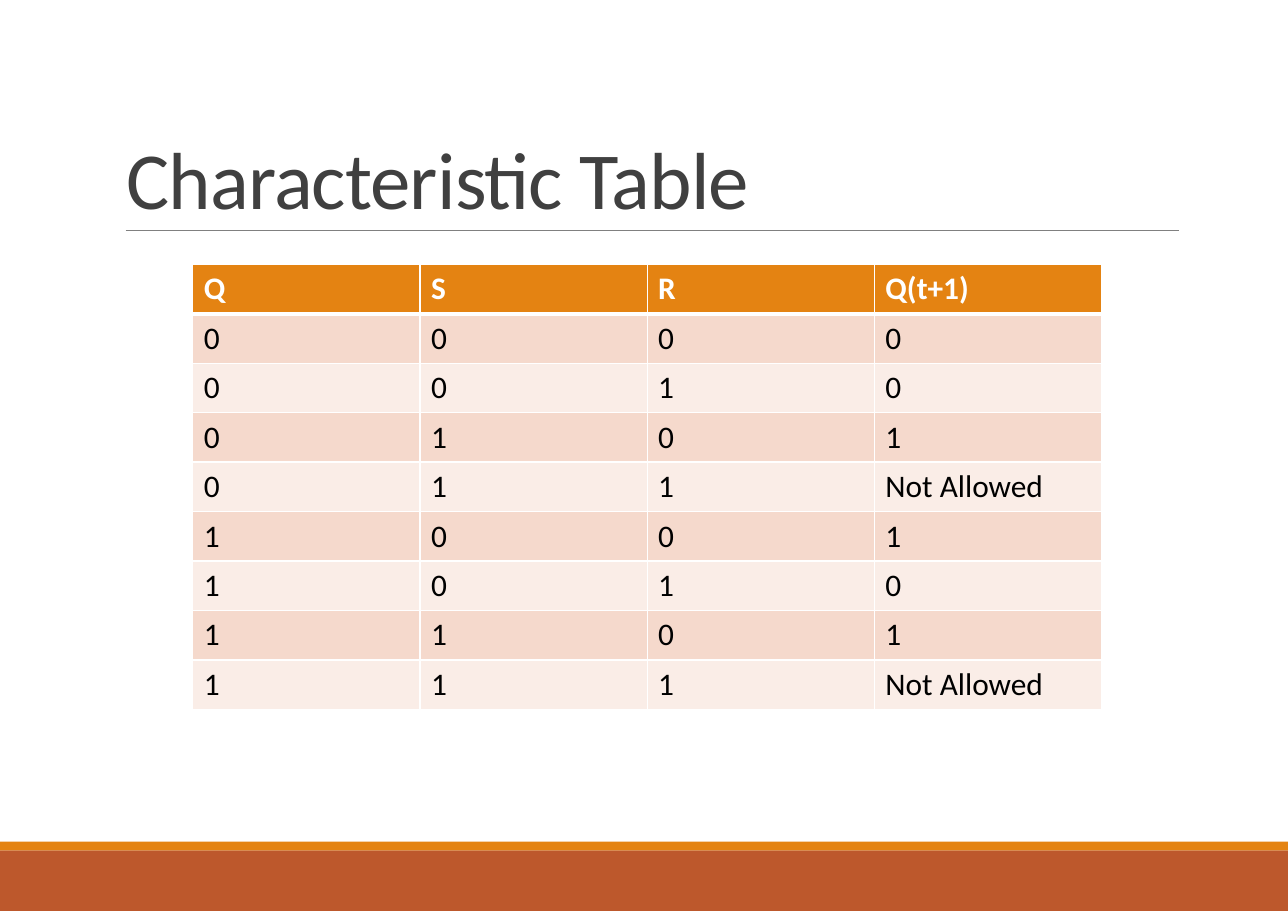
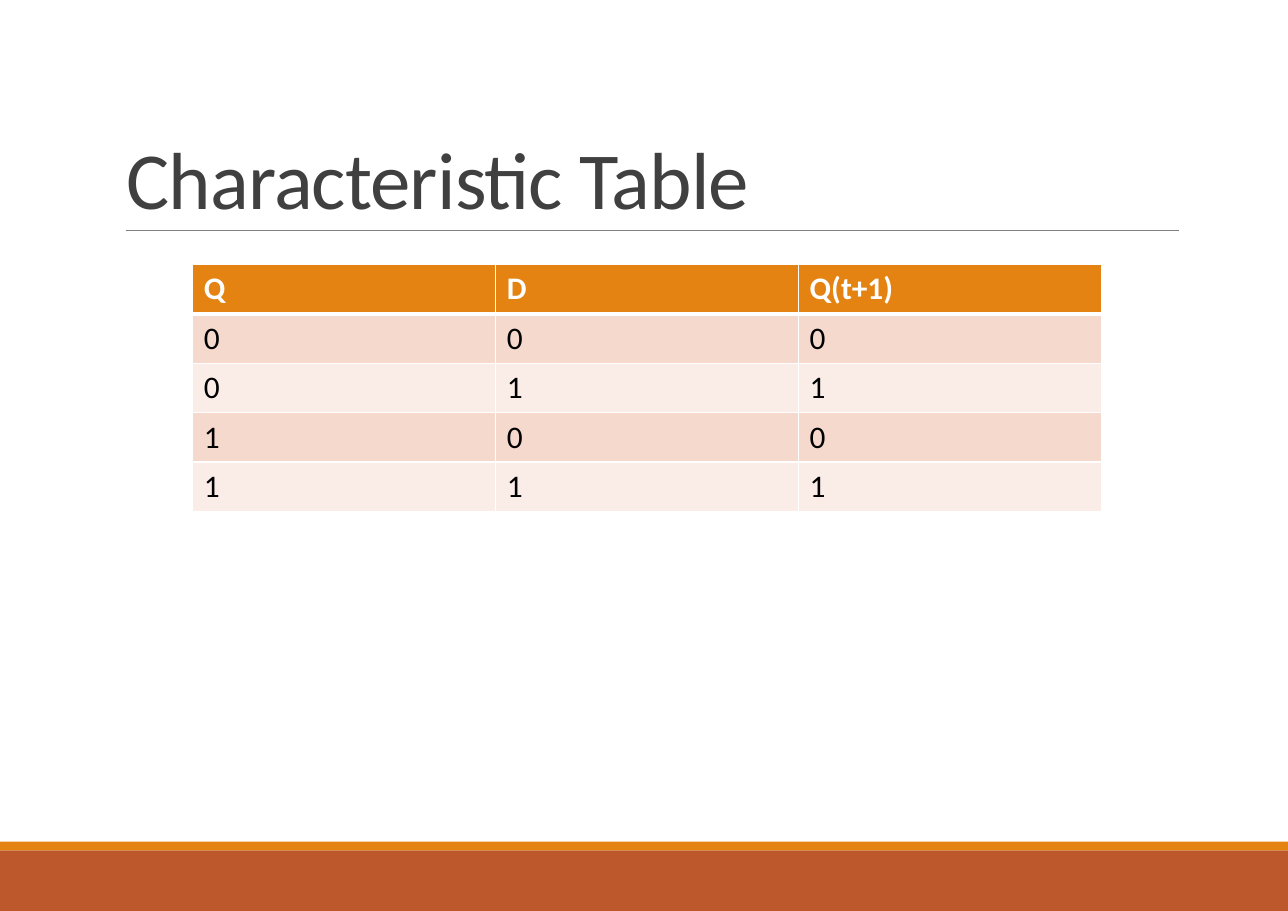
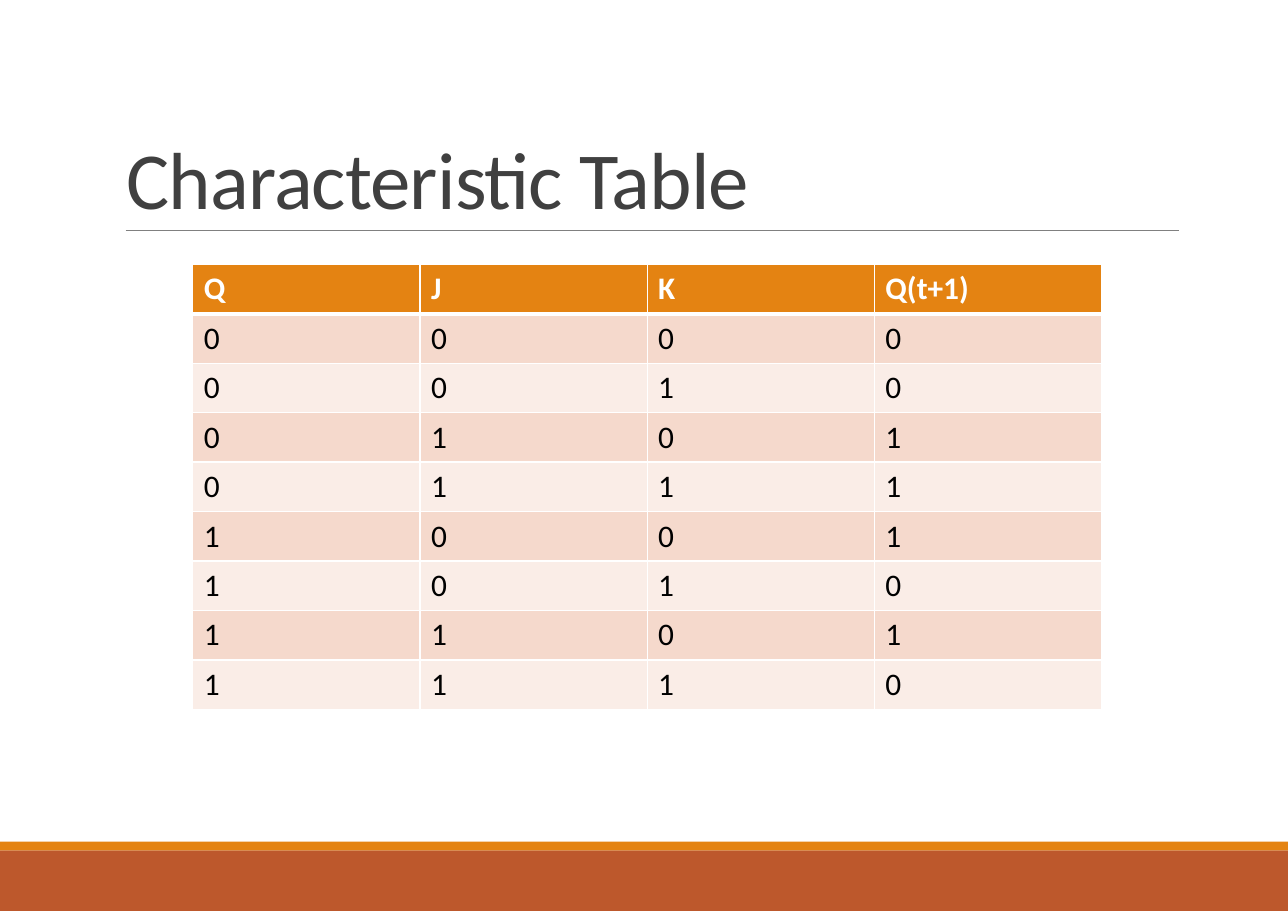
import dataclasses
import itertools
import typing

import pptx
import pptx.dml.color
import pptx.enum.shapes
import pptx.enum.text
import pptx.oxml
import pptx.oxml.ns
import pptx.slide
import pptx.table
import pptx.util
from lxml import etree

RGB = pptx.dml.color.RGBColor
Pt = pptx.util.Pt

RUST = RGB(0xBD, 0x58, 0x2C)
AMBER = RGB(0xE4, 0x83, 0x12)
ROSE = RGB(0xF5, 0xD9, 0xCC)
BLUSH = RGB(0xFA, 0xED, 0xE7)
GREY = RGB(0x80, 0x80, 0x80)
INK = RGB(0x40, 0x40, 0x40)
BLACK = RGB(0, 0, 0)
WHITE = RGB(255, 255, 255)

WIDTH = pptx.util.Inches(11.69)
HEIGHT = pptx.util.Inches(8.27)
TITLE = "Characteristic Table"
FACE = "Calibri"
HEAD = {"name": FACE, "size": Pt(20.5), "bold": True}
BODY = HEAD | {"bold": False}
ROW = 4.96  # percent of the slide's height


@dataclasses.dataclass(frozen=True)
class Box:
    """A place on the slide, in percent of its width and height."""
    left: float
    top: float
    width: float
    height: float

    def emu(self) -> tuple[int, int, int, int]:
        return (across(self.left), down(self.top),
                across(self.width), down(self.height))


@dataclasses.dataclass(frozen=True)
class Band:
    box: Box
    color: RGB


@dataclasses.dataclass(frozen=True)
class Truth:
    """Input names, and the next state for each input in binary order."""
    names: tuple[str, ...]
    nexts: tuple[str, ...]

    def rows(self) -> list[tuple[str, ...]]:
        bits = itertools.product("01", repeat=len(self.names))
        return [(*self.names, "Q(t+1)"),
                *((*row, out) for row, out in zip(bits, self.nexts))]


BANDS = (
    Band(Box(0, 93.35, 100, 6.65), RUST),
    Band(Box(0, 92.38, 100, 0.97), AMBER),
)
TABLES = (
    Truth(("Q", "S", "R"),
          ("0", "0", "1", "Not Allowed", "1", "0", "1", "Not Allowed")),
    Truth(("Q", "D"), tuple("0101")),
    Truth(("Q", "J", "K"), tuple("00111010")),
)


def across(share: float) -> int:
    return round(WIDTH * share / 100)


def down(share: float) -> int:
    return round(HEIGHT * share / 100)


def style(font: typing.Any, color: RGB, look: dict[str, typing.Any]) -> None:
    for key, value in look.items():
        setattr(font, key, value)
    font.color.rgb = color


def frame(slide: pptx.slide.Slide) -> None:
    """Draw the bands and the rule under the title."""
    for band in BANDS:
        shape = slide.shapes.add_shape(
            pptx.enum.shapes.MSO_SHAPE.RECTANGLE, *band.box.emu())
        shape.shadow.inherit = False
        shape.fill.solid()
        shape.fill.fore_color.rgb = band.color
        shape.line.fill.background()
    level = down(25.27)
    rule = slide.shapes.add_connector(
        pptx.enum.shapes.MSO_CONNECTOR.STRAIGHT,
        across(9.75), level, across(91.53), level)
    rule.line.color.rgb = GREY
    rule.line.width = Pt(0.5)
    etree.SubElement(rule._element.spPr, pptx.oxml.ns.qn("a:effectLst"))


def title(slide: pptx.slide.Slide, text: str) -> None:
    shape = slide.shapes.title
    places = Box(8.98, 4.23, 82.55, 21.16).emu()
    for key, value in zip(("left", "top", "width", "height"), places):
        setattr(shape, key, value)
    body = shape.text_frame
    body.auto_size = pptx.enum.text.MSO_AUTO_SIZE.NONE
    body.vertical_anchor = pptx.enum.text.MSO_ANCHOR.BOTTOM
    body.word_wrap = True
    para = body.paragraphs[0]
    para.alignment = pptx.enum.text.PP_ALIGN.LEFT
    para.line_spacing = 0.85
    run = para.add_run()
    run.text = text
    style(run.font, INK, {"name": FACE, "size": Pt(52.9)})
    run.font._element.set("spc", "-60")


def edge(cell: pptx.table._Cell, side: str, width: float) -> None:
    xml = (f'<a:ln{side} {pptx.oxml.ns.nsdecls("a")} w="{Pt(width)}">'
           f'<a:solidFill><a:srgbClr val="{WHITE}"/></a:solidFill></a:ln{side}>')
    cell._tc.get_or_add_tcPr().append(pptx.oxml.parse_xml(xml))


def fill(cell: pptx.table._Cell, text: str, row: int) -> None:
    """Write and paint one cell; row 0 is the header."""
    thick = {"T": row == 1, "B": row == 0}
    for side in "LRTB":
        edge(cell, side, 3 if thick.get(side) else 1)
    cell.fill.solid()
    cell.fill.fore_color.rgb = (
        AMBER if row == 0 else ROSE if row % 2 else BLUSH)
    run = cell.text_frame.paragraphs[0].add_run()
    run.text = text
    style(run.font, BLACK if row else WHITE, BODY if row else HEAD)


def table(slide: pptx.slide.Slide, truth: Truth) -> None:
    rows = truth.rows()
    box = Box(14.97, 29.02, 70.57, ROW * len(rows))
    grid = slide.shapes.add_table(len(rows), len(rows[0]), *box.emu()).table
    for i, row in enumerate(rows):
        for j, text in enumerate(row):
            fill(grid.cell(i, j), text, i)


def main() -> None:
    deck = pptx.Presentation()
    deck.slide_width, deck.slide_height = WIDTH, HEIGHT
    for truth in TABLES:
        slide = deck.slides.add_slide(deck.slide_layouts[5])
        frame(slide)
        title(slide, TITLE)
        table(slide, truth)
    deck.save("out.pptx")


if __name__ == "__main__":
    main()
